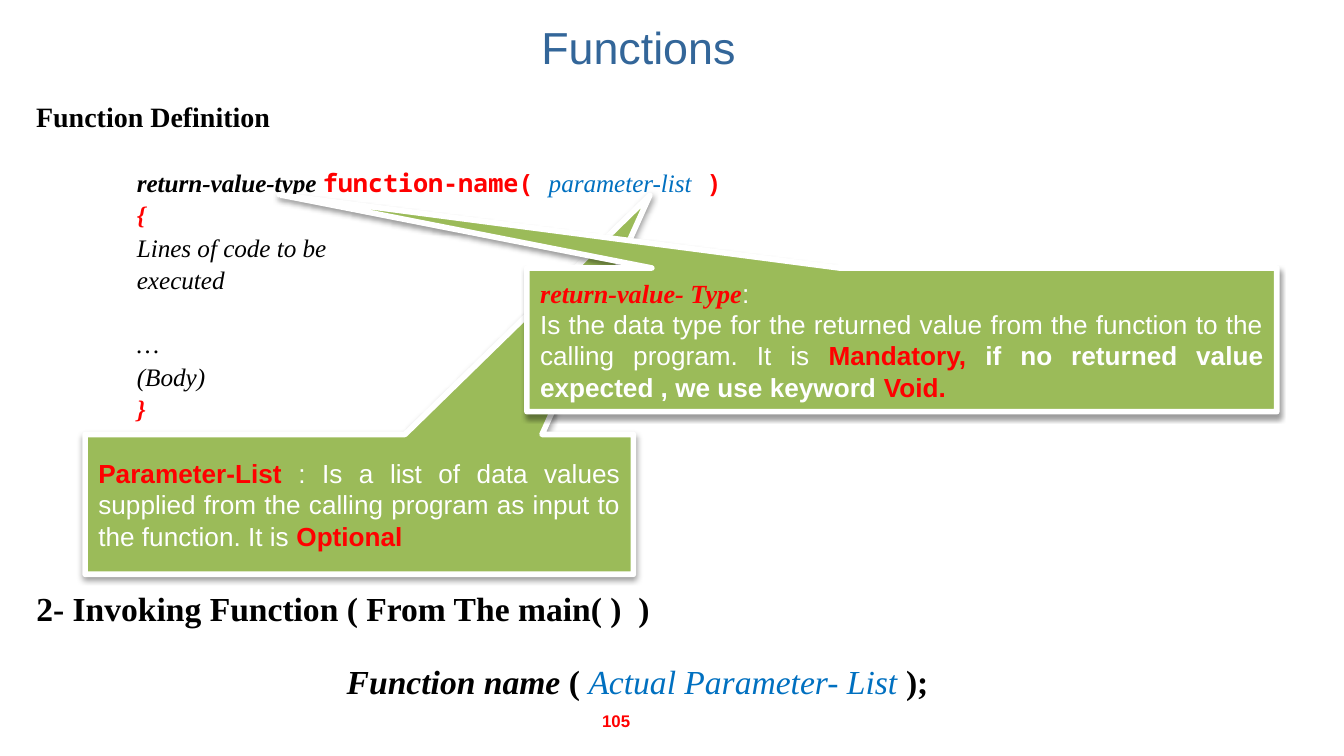
import pptx
import pptx.dml.color
import pptx.enum.shapes
import pptx.enum.text
import pptx.oxml
import pptx.oxml.ns
import pptx.util

RGBColor = pptx.dml.color.RGBColor
ALIGN = pptx.enum.text.PP_ALIGN
ANCHOR = pptx.enum.text.MSO_ANCHOR
Pt = pptx.util.Pt

WIDTH = pptx.util.Inches(10)
HEIGHT = WIDTH * 9 // 16
STEEL = RGBColor(0x33, 0x66, 0x99)
GREEN = RGBColor(0x9B, 0xBB, 0x59)
RED = RGBColor(0xFF, 0x00, 0x00)
BLUE = RGBColor(0x00, 0x70, 0xC0)
BLACK = RGBColor(0x00, 0x00, 0x00)
WHITE = RGBColor(0xFF, 0xFF, 0xFF)
SANS, SERIF, MONO = "Arial", "Times New Roman", "Noto Sans Mono"

SHADOW = (
    '<a:outerShdw xmlns:a="http://schemas.openxmlformats.org/drawingml/2006/main"'
    ' blurRad="39370" dist="20320" dir="5400000" rotWithShape="0">'
    '<a:srgbClr val="000000"><a:alpha val="38000"/></a:srgbClr></a:outerShdw>'
)


def area(left, top, width, height):
    """Turn percentages of the slide into lengths."""
    return (int(WIDTH * left / 100), int(HEIGHT * top / 100),
            int(WIDTH * width / 100), int(HEIGHT * height / 100))


def add_run(paragraph, text, size, font=SERIF, color=BLACK, bold=False, italic=False):
    run = paragraph.add_run()
    run.text = text
    run.font.size = Pt(size)
    run.font.name = font
    run.font.color.rgb = color
    run.font.bold = bold
    run.font.italic = italic


def write(frame, paragraphs, anchor=ANCHOR.TOP, align=ALIGN.LEFT, spacing=1.0, **common):
    """Each paragraph is (space before, indent in inches, [(text, run format), ...])."""
    frame.word_wrap = True
    frame.vertical_anchor = anchor
    for index, (before, indent, runs) in enumerate(paragraphs):
        paragraph = frame.add_paragraph() if index else frame.paragraphs[0]
        paragraph.alignment = align
        paragraph.line_spacing = spacing
        paragraph.space_before = Pt(before)
        if indent:
            properties = paragraph._p.get_or_add_pPr()
            properties.set("marL", str(pptx.util.Inches(indent)))
            properties.set("indent", "0")
        for text, look in runs:
            add_run(paragraph, text, **{**common, **look})


def add_text(slide, place, paragraphs, **look):
    write(slide.shapes.add_textbox(*area(*place)).text_frame, paragraphs, **look)


def add_title(slide, place, text):
    title = slide.shapes.title
    title.left, title.top, title.width, title.height = area(*place)
    write(title.text_frame, [(0, 0, [(text, {})])], anchor=ANCHOR.MIDDLE,
          align=ALIGN.CENTER, size=24, font=SANS, color=STEEL)


def add_callout(slide, place, tip, paragraphs):
    """Tip is the pointer's end, in shares of the callout from its centre."""
    callout = slide.shapes.add_shape(
        pptx.enum.shapes.MSO_SHAPE.RECTANGULAR_CALLOUT, *area(*place))
    callout.adjustments[0], callout.adjustments[1] = tip
    callout.fill.solid()
    callout.fill.fore_color.rgb = GREEN
    callout.line.color.rgb = WHITE
    callout.line.width = Pt(3)
    callout.shadow.inherit = False
    effects = callout._element.spPr.find(pptx.oxml.ns.qn("a:effectLst"))
    effects.append(pptx.oxml.parse_xml(SHADOW))
    write(callout.text_frame, paragraphs, anchor=ANCHOR.MIDDLE,
          align=ALIGN.JUSTIFY, size=14, font=SANS, color=WHITE)


def add_definition(slide, place):
    step, gap, indent = 2.7, 20, 0.75
    strong = dict(bold=True, italic=True)
    slanted = dict(italic=True)
    keyword = dict(font=MONO, color=RED, bold=True)
    brace = dict(color=RED, **strong)
    signature = [("return-value-type ", strong), ("function-name( ", keyword),
                 ("parameter-list", dict(color=BLUE, italic=True)), (" )", keyword)]
    body = [(step, "{", brace), (step, "Lines of code to be", slanted),
            (step, "executed", slanted), (gap, "…", slanted),
            (step, "(Body)", slanted), (step, "}", brace)]
    paragraphs = [(0, 0, [("Function Definition", dict(size=15, bold=True))]),
                  (gap, indent, signature)]
    paragraphs += [(before, indent, [(text, look)]) for before, text, look in body]
    add_text(slide, place, paragraphs, spacing=0.9, size=13.5)


def main():
    deck = pptx.Presentation()
    deck.slide_width, deck.slide_height = WIDTH, HEIGHT
    slide = deck.slides.add_slide(deck.slide_layouts.get_by_name("Title Only"))
    red_bold = dict(color=RED, bold=True)
    bold = dict(bold=True)

    add_title(slide, (16.25, 0, 62.5, 12.25), "Functions")
    add_text(slide, (34.2, 92.7, 23.3, 5.33), [(0, 0, [("105", red_bold)])],
             anchor=ANCHOR.MIDDLE, align=ALIGN.CENTER, size=9, font=SANS)
    add_definition(slide, (1.7, 12.8, 97.5, 58.85))
    add_callout(slide, (6.33, 57.47, 40.8, 18.5), (0.53, -2.21), [
        (0, 0, [("Parameter-List ", red_bold),
                (": Is a list of data values supplied from the calling program "
                 "as input to the function. It is ", {}),
                ("Optional ", red_bold)])])
    add_callout(slide, (39.2, 35.45, 55.8, 19), (-0.83, -1.01), [
        (0, 0, [("return-value- Type", dict(font=SERIF, italic=True, **red_bold)),
                (": ", {})]),
        (0, 0, [("Is the data type for the returned value from the function to "
                 "the calling program. It is ", {}),
                ("Mandatory, ", red_bold),
                ("if no returned value expected , we use keyword", bold),
                (" Void.", red_bold)])])
    add_text(slide, (1.72, 77.5, 86.6, 16.35), [
        (0, 0, [("2- Invoking Function ( From The main( )  )", bold)]),
        (19.5, 2.31, [("Function name ", dict(bold=True, italic=True)), ("( ", bold),
                      ("Actual Parameter- List ", dict(color=BLUE, italic=True)),
                      (");", bold)])], spacing=0.9, size=18)
    deck.save("out.pptx")


if __name__ == "__main__":
    main()
